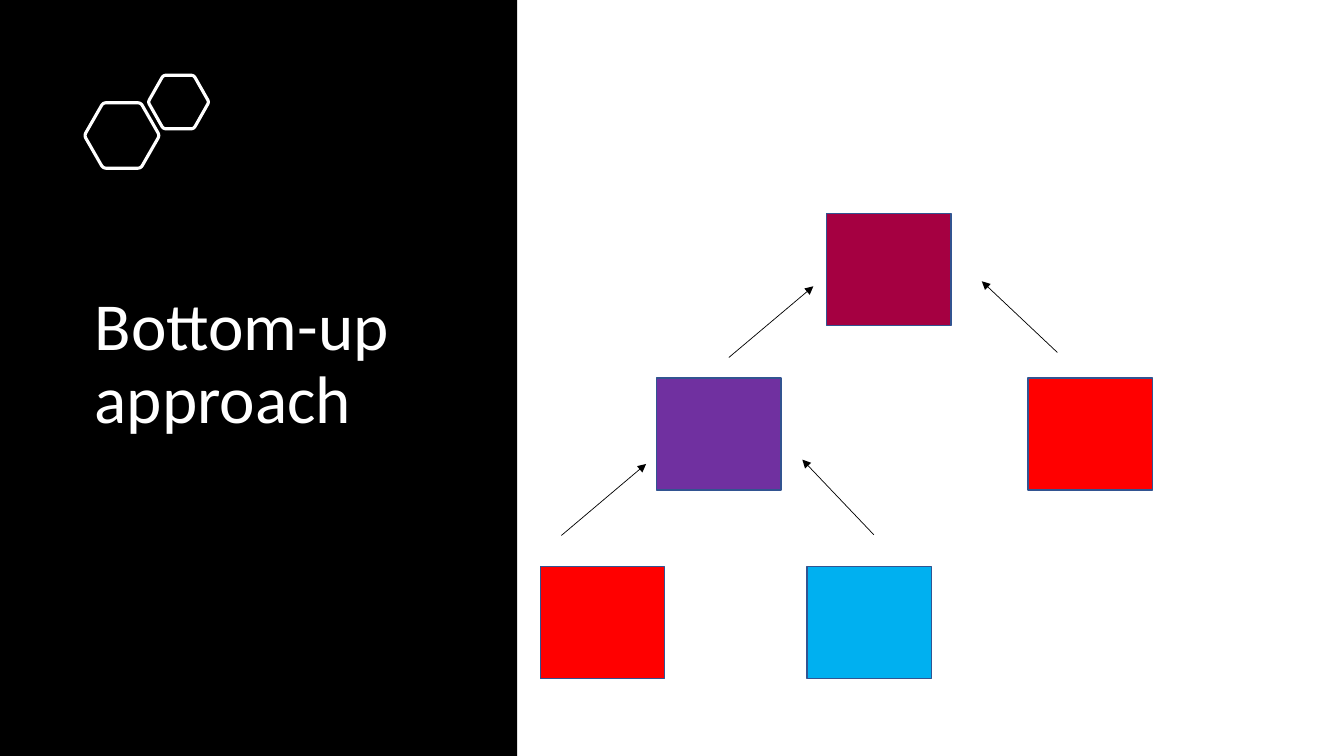
from dataclasses import dataclass

from lxml.etree import SubElement as SubEl
from pptx import Presentation
from pptx.dml.color import RGBColor as Rgb
from pptx.enum.shapes import MSO_CONNECTOR as Conn, MSO_SHAPE as Kind
from pptx.enum.text import MSO_ANCHOR as Anchor, MSO_AUTO_SIZE as Fit, PP_ALIGN as Align
from pptx.oxml.ns import qn
from pptx.shapes.autoshape import Shape
from pptx.shapes.shapetree import GroupShapes, SlideShapes
from pptx.util import Pt


@dataclass(frozen=True)
class Theme:
    dark: str = "000000"
    light: str = "FFFFFF"
    edge: str = "325491"
    wine: str = "A50041"
    purple: str = "7030A0"
    red: str = "FF0000"
    blue: str = "00B0F0"
    font: str = "Calibri"
    size: float = 48


@dataclass(frozen=True)
class Box:
    left: float
    top: float
    width: float
    height: float


@dataclass(frozen=True)
class Node:
    left: float
    top: float
    fill: str


@dataclass(frozen=True)
class Arrow:
    x1: float
    y1: float
    x2: float
    y2: float


THEME = Theme()
WIDE, HIGH = 960, 540
PANEL = Box(0, 0, 369.4, HIGH)
TITLE = Box(60.5, 92.2, 282.2, 337)
NODE_W, NODE_H = 88.9, 80
ROWS = (152.4, 270, 404.8)
CUT = 0.09
STEPS = 6

HEXES = (
    Box(60.2, 73.4, 53.8, 46.8),
    Box(105.8, 53.8, 43.5, 38.2),
)
NODES = (
    Node(590.4, ROWS[0], THEME.wine),
    Node(469.1, ROWS[1], THEME.purple),
    Node(734.4, ROWS[1], THEME.red),
    Node(576.4, ROWS[2], THEME.blue),
    Node(385.9, ROWS[2], THEME.red),
)
ARROWS = (
    Arrow(520.6, 255.4, 581, 204.5),
    Arrow(755.3, 251.8, 701.3, 200.9),
    Arrow(401, 382.5, 461.5, 331.4),
    Arrow(624.2, 382, 573.1, 328.3),
)


def add_rect(shapes: SlideShapes, box: Box, fill: str, edge: str | None = None) -> Shape:
    rect = shapes.add_shape(
        Kind.RECTANGLE, Pt(box.left), Pt(box.top), Pt(box.width), Pt(box.height)
    )
    rect.shadow.inherit = False
    rect.fill.solid()
    rect.fill.fore_color.rgb = Rgb.from_string(fill)
    if edge:
        rect.line.color.rgb = Rgb.from_string(edge)
        rect.line.width = Pt(1)
    else:
        rect.line.fill.background()
    return rect


def hex_points(box: Box) -> list[tuple[int, int]]:
    ratios = ((0, 0.5), (0.25, 0), (0.75, 0), (1, 0.5), (0.75, 1), (0.25, 1))
    tips = [(box.left + x * box.width, box.top + y * box.height) for x, y in ratios]
    points = []
    for i, tip in enumerate(tips):
        prior, after = tips[i - 1], tips[(i + 1) % len(tips)]
        for step in range(STEPS + 1):
            t = step / STEPS
            a, b = CUT * (1 - t) ** 2, CUT * t ** 2
            x, y = (
                c + a * (p - c) + b * (n - c) for p, c, n in zip(prior, tip, after)
            )
            points.append((Pt(x), Pt(y)))
    return points


def add_hex(shapes: GroupShapes, box: Box) -> None:
    start, *rest = hex_points(box)
    pen = shapes.build_freeform(*start, scale=1.0)
    pen.add_line_segments(rest, close=True)
    shape = pen.convert_to_shape()
    shape.shadow.inherit = False
    shape.fill.background()
    shape.line.color.rgb = Rgb.from_string(THEME.light)
    shape.line.width = Pt(2.25)


def add_arrow(shapes: SlideShapes, arrow: Arrow) -> None:
    line = shapes.add_connector(
        Conn.STRAIGHT, Pt(arrow.x1), Pt(arrow.y1), Pt(arrow.x2), Pt(arrow.y2)
    )
    line.line.color.rgb = Rgb.from_string(THEME.dark)
    line.line.width = Pt(0.5)
    props = line._element.spPr
    SubEl(props.find(qn("a:ln")), qn("a:tailEnd"), type="triangle")
    SubEl(props, qn("a:effectLst"))


def set_title(title: Shape, words: str) -> None:
    title.left, title.top = Pt(TITLE.left), Pt(TITLE.top)
    title.width, title.height = Pt(TITLE.width), Pt(TITLE.height)
    frame = title.text_frame
    frame.word_wrap = True
    frame.auto_size = Fit.NONE
    frame.vertical_anchor = Anchor.MIDDLE
    para = frame.paragraphs[0]
    para.alignment = Align.LEFT
    para.line_spacing = 0.9
    run = para.add_run()
    run.text = words
    run.font.name = THEME.font
    run.font.size = Pt(THEME.size)
    run.font.color.rgb = Rgb.from_string(THEME.light)


def main() -> None:
    deck = Presentation()
    deck.slide_width, deck.slide_height = Pt(WIDE), Pt(HIGH)
    slide = deck.slides.add_slide(deck.slide_layouts.get_by_name("Title Only"))
    shapes = slide.shapes
    title = shapes.title
    panel = add_rect(shapes, PANEL, THEME.dark)
    title._element.addprevious(panel._element)
    set_title(title, "Bottom-up approach")
    group = shapes.add_group_shape()
    for box in HEXES:
        add_hex(group.shapes, box)
    for node in NODES:
        add_rect(shapes, Box(node.left, node.top, NODE_W, NODE_H), node.fill, THEME.edge)
    for arrow in ARROWS:
        add_arrow(shapes, arrow)
    deck.save("out.pptx")


if __name__ == "__main__":
    main()
